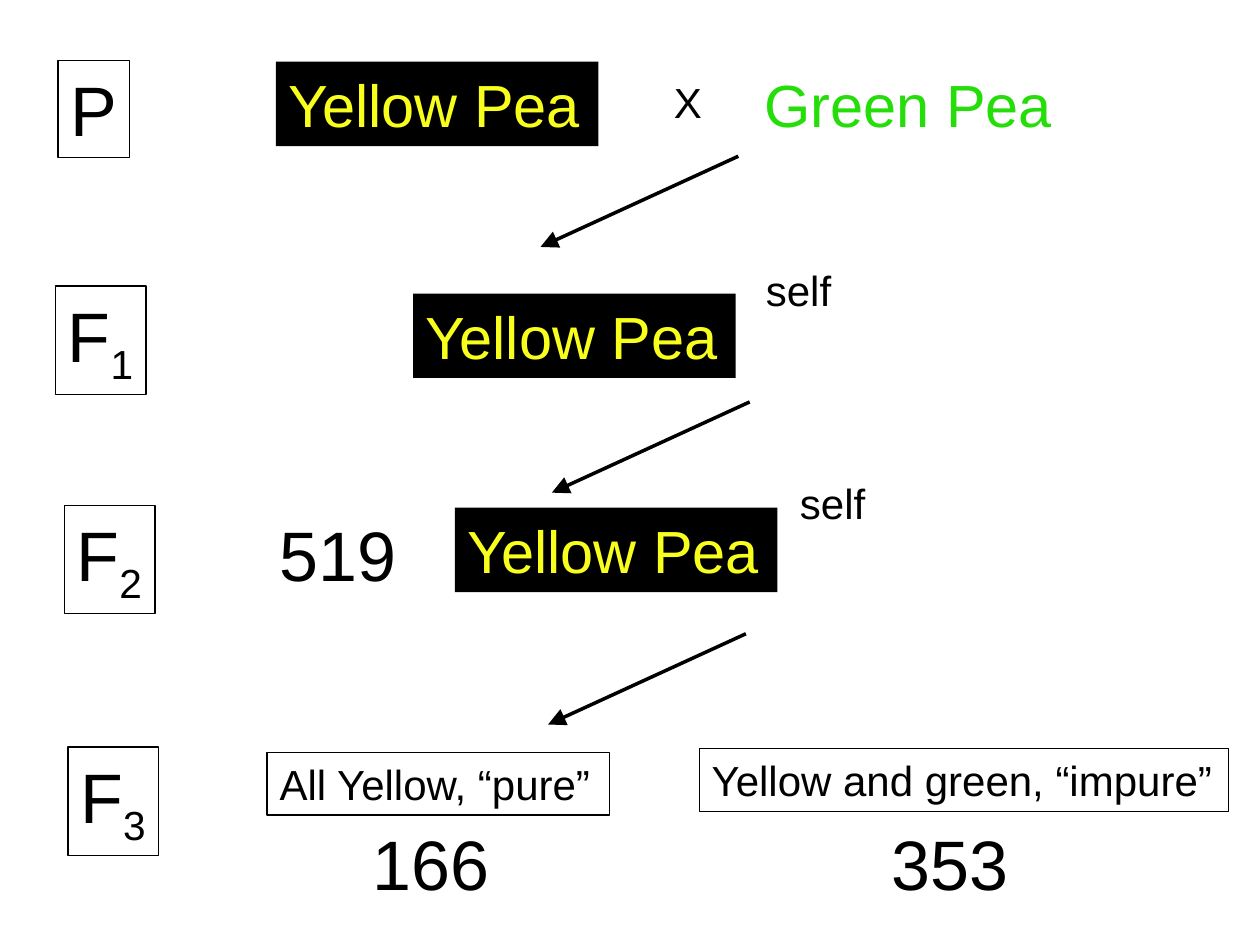
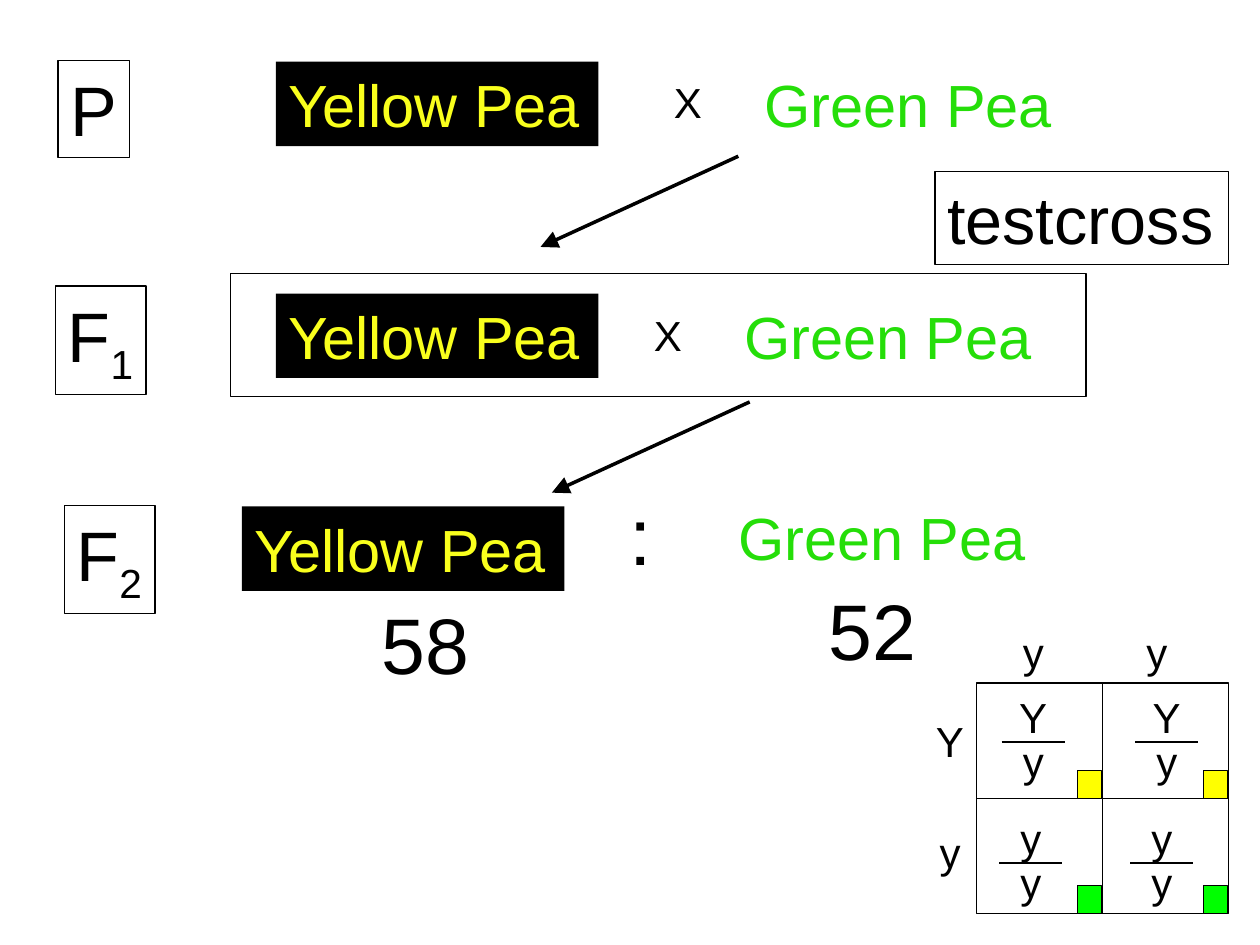
from lxml import etree
from pptx import Presentation
from pptx.dml.color import RGBColor
from pptx.enum import shapes, text
from pptx.oxml.ns import qn
from pptx.util import Inches, Pt

FONT = "Arial"
COLOURS = {
    "black": "000000",
    "yellow text": "F9FF1D",
    "green text": "25DE09",
    "yellow swatch": "FFFF00",
    "green swatch": "00FF00",
}
THIN, THICK = 0.75, 2

# Text styles: size in points, text colour, fill, border, height in inches
STYLES = {
    "yellow pea": dict(size=34, colour="yellow text", fill="black", border=False, height=0.67),
    "green pea": dict(size=34, colour="green text", fill=None, border=False, height=0.67),
    "parent": dict(size=40, colour="black", fill=None, border=True, height=0.77),
    "generation": dict(size=40, colour="black", fill=None, border=True, height=0.86),
    "count": dict(size=40, colour="black", fill=None, border=False, height=0.77),
    "ratio count": dict(size=45, colour="black", fill=None, border=False, height=0.85),
    "ratio sign": dict(size=46, colour="black", fill=None, border=False, height=0.87),
    "note": dict(size=24, colour="black", fill=None, border=False, height=0.5),
    "boxed note": dict(size=24, colour="black", fill=None, border=True, height=0.5),
    "heading": dict(size=38, colour="black", fill=None, border=True, height=0.74),
}

# Labels: style, words, left, top, width; a "_" starts a subscript
SHARED_LABELS = [
    ("parent", "P", 0.46, 0.48, 0.57),
    ("yellow pea", "Yellow Pea", 2.19, 0.49, 2.56),
    ("note", "X", 5.25, 0.56, 0.42),
    ("green pea", "Green Pea", 5.97, 0.49, 2.48),
    ("generation", "F_1", 0.44, 2.27, 0.72),
    ("generation", "F_2", 0.51, 4.01, 0.72),
]
SELFING_LABELS = [
    ("yellow pea", "Yellow Pea", 3.28, 2.33, 2.56),
    ("note", "self", 5.98, 2.05, 0.72),
    ("count", "519", 2.12, 4.01, 1.14),
    ("yellow pea", "Yellow Pea", 3.61, 4.03, 2.56),
    ("note", "self", 6.25, 3.74, 0.72),
    ("generation", "F_3", 0.54, 5.93, 0.72),
    ("boxed note", "All Yellow, “pure”", 2.12, 5.97, 2.72),
    ("boxed note", "Yellow and green, “impure”", 5.55, 5.94, 4.2),
    ("count", "166", 2.86, 6.46, 1.14),
    ("count", "353", 6.98, 6.46, 1.14),
]
TESTCROSS_LABELS = [
    ("heading", "testcross", 7.42, 1.36, 2.33),
    ("yellow pea", "Yellow Pea", 2.19, 2.33, 2.56),
    ("note", "X", 5.09, 2.41, 0.42),
    ("green pea", "Green Pea", 5.81, 2.33, 2.48),
    ("yellow pea", "Yellow Pea", 1.92, 4.02, 2.56),
    ("ratio sign", ":", 4.9, 3.8, 0.37),
    ("green pea", "Green Pea", 5.76, 3.93, 2.48),
    ("ratio count", "58", 2.93, 4.68, 0.91),
    ("ratio count", "52", 6.48, 4.57, 0.91),
]
TESTCROSS_FRAME = (1.83, 2.17, 6.79, 0.98)

# Every arrow runs down and left by the same step
ARROW_STEP = (-1.57, 0.72)
SHARED_ARROWS = [(5.86, 1.24), (5.95, 3.19)]
SELFING_ARROWS = [(5.92, 5.03)]

# Punnett square
SQUARE_LEFT, SQUARE_TOP, SQUARE_WIDTH, SQUARE_HEIGHT = 7.75, 5.42, 2, 1.83
SWATCH_WIDTH, SWATCH_HEIGHT = 0.19, 0.22
LETTER_WIDTHS = {"Y": 0.42, "y": 0.36}
BAR_LENGTH = 0.5
GAMETES = [("y", 8.2, 4.92), ("y", 9.18, 4.92), ("Y", 7.54, 5.63), ("y", 7.54, 6.51)]
# Rows: upper allele, lower allele, swatch, bar height, bar centres
OFFSPRING = [
    ("Y", "y", "yellow swatch", 5.89, (8.2, 9.26)),
    ("y", "y", "green swatch", 6.85, (8.18, 9.22)),
]


def colour(name):
    return RGBColor.from_string(COLOURS[name])


def paint(shape, fill=None, border=False):
    if fill:
        shape.fill.solid()
        shape.fill.fore_color.rgb = colour(fill)
    else:
        shape.fill.background()
    if border:
        shape.line.color.rgb = colour("black")
        shape.line.width = Pt(THIN)
    else:
        shape.line.fill.background()


def add_label(slide, style_name, words, left, top, width):
    style = STYLES[style_name]
    box = slide.shapes.add_textbox(*map(Inches, (left, top, width, style["height"])))
    paint(box, style["fill"], style["border"])
    frame_format = {
        "word_wrap": False,
        "auto_size": text.MSO_AUTO_SIZE.SHAPE_TO_FIT_TEXT,
        "vertical_anchor": text.MSO_ANCHOR.TOP,
    }
    for name, value in frame_format.items():
        setattr(box.text_frame, name, value)
    paragraph = box.text_frame.paragraphs[0]
    for index, part in enumerate(words.split("_")):
        run = paragraph.add_run()
        run.text = part
        for name, value in {"name": FONT, "size": Pt(style["size"])}.items():
            setattr(run.font, name, value)
        run.font.color.rgb = colour(style["colour"])
        if index:
            run._r.get_or_add_rPr().set("baseline", "-25000")


def add_letter(slide, letter, centre, top):
    width = LETTER_WIDTHS[letter]
    add_label(slide, "note", letter, centre - width / 2, top, width)


def add_rectangle(slide, place, fill=None):
    shape = slide.shapes.add_shape(shapes.MSO_SHAPE.RECTANGLE, *map(Inches, place))
    shape.shadow.inherit = False
    paint(shape, fill, border=True)


def add_line(slide, start, end, width=THIN, arrow=False):
    line = slide.shapes.add_connector(
        shapes.MSO_CONNECTOR.STRAIGHT, *map(Inches, (*start, *end)))
    line.line.color.rgb = colour("black")
    line.line.width = Pt(width)
    if arrow:
        etree.SubElement(line.line._get_or_add_ln(), qn("a:tailEnd"),
                         type="triangle", w="lg", len="lg")
    etree.SubElement(line._element.spPr, qn("a:effectLst"))


def add_cross(presentation, labels, arrows):
    """Add a slide with the shared crossing scheme and its own labels and arrows."""
    slide = presentation.slides.add_slide(presentation.slide_layouts[6])
    for label in SHARED_LABELS + labels:
        add_label(slide, *label)
    for x, y in SHARED_ARROWS + arrows:
        add_line(slide, (x, y), (x + ARROW_STEP[0], y + ARROW_STEP[1]), THICK, arrow=True)
    return slide


def add_punnett_square(slide):
    right, bottom = SQUARE_LEFT + SQUARE_WIDTH, SQUARE_TOP + SQUARE_HEIGHT
    cell_width, cell_height = SQUARE_WIDTH / 2, SQUARE_HEIGHT / 2
    middle_x, middle_y = SQUARE_LEFT + cell_width, SQUARE_TOP + cell_height
    add_rectangle(slide, (SQUARE_LEFT, SQUARE_TOP, SQUARE_WIDTH, SQUARE_HEIGHT))
    add_line(slide, (SQUARE_LEFT, middle_y), (right, middle_y))
    add_line(slide, (middle_x, SQUARE_TOP), (middle_x, bottom))
    for gamete in GAMETES:
        add_letter(slide, *gamete)
    for row, (upper, lower, swatch, bar_y, centres) in enumerate(OFFSPRING):
        for column, centre in enumerate(centres):
            add_line(slide, (centre - BAR_LENGTH / 2, bar_y), (centre + BAR_LENGTH / 2, bar_y))
            add_letter(slide, upper, centre, bar_y - 0.45)
            add_letter(slide, lower, centre, bar_y - 0.1)
            swatch_left = SQUARE_LEFT + (column + 1) * cell_width - SWATCH_WIDTH - 0.01
            swatch_top = SQUARE_TOP + (row + 1) * cell_height - SWATCH_HEIGHT
            add_rectangle(slide, (swatch_left, swatch_top, SWATCH_WIDTH, SWATCH_HEIGHT), swatch)


def main():
    presentation = Presentation()
    presentation.slide_width, presentation.slide_height = Inches(10), Inches(7.5)
    add_cross(presentation, SELFING_LABELS, SELFING_ARROWS)
    testcross = add_cross(presentation, TESTCROSS_LABELS, [])
    add_rectangle(testcross, TESTCROSS_FRAME)
    add_punnett_square(testcross)
    presentation.save("out.pptx")


if __name__ == "__main__":
    main()
